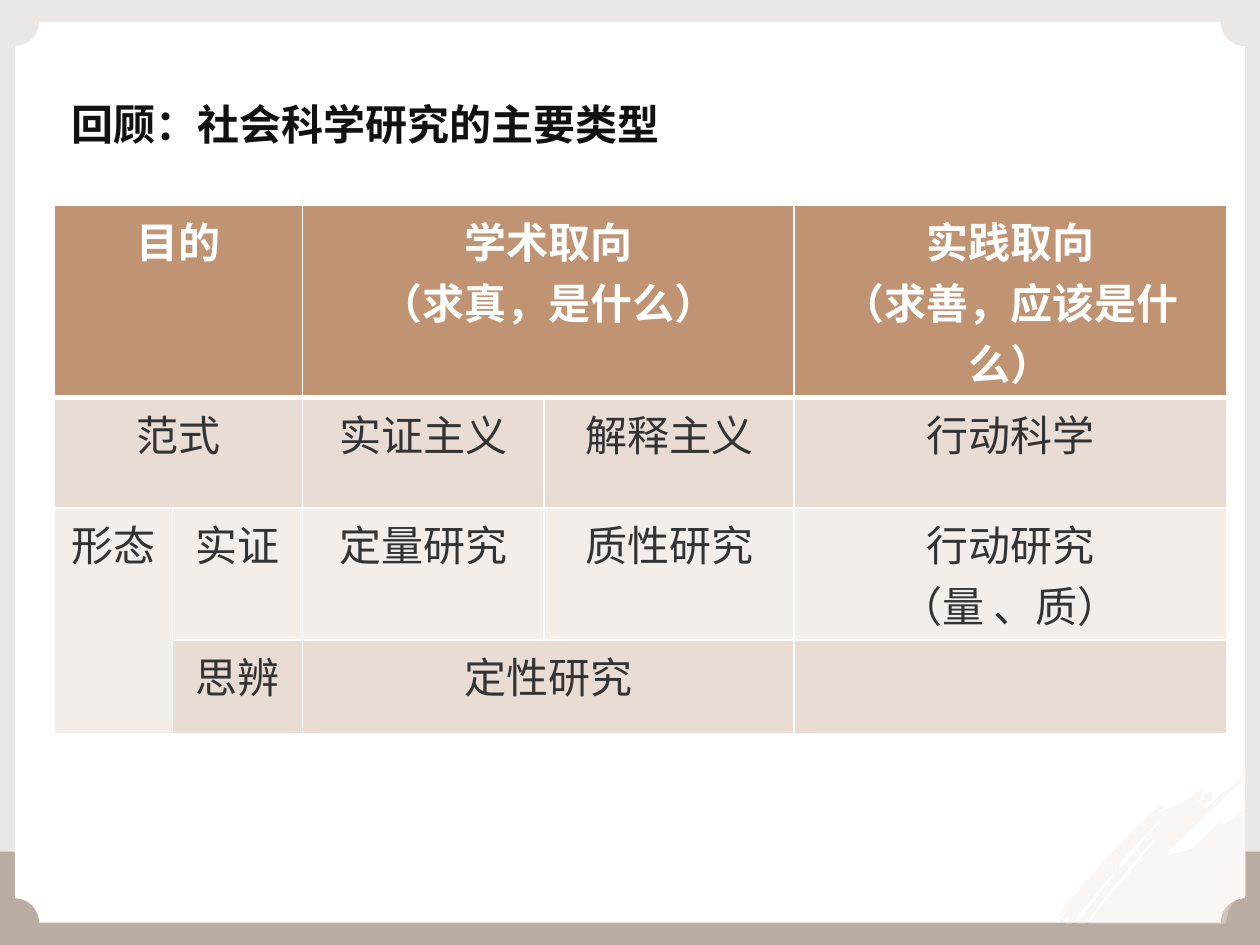
import pptx
import pptx.util
import pptx.dml.color
import pptx.enum.shapes
import pptx.enum.text
import pptx.oxml
import pptx.oxml.ns

Cm = pptx.util.Cm
Pt = pptx.util.Pt
RGB = pptx.dml.color.RGBColor
KIND = pptx.enum.shapes.MSO_SHAPE
ALIGN = pptx.enum.text.PP_ALIGN

SAND = RGB(0xEB, 0xE7, 0xE4)
TAUPE = RGB(0xBA, 0xAC, 0xA2)
WHITE = RGB(0xFF, 0xFF, 0xFF)
BRUSH = RGB(0xF2, 0xE9, 0xE3)
BROWN = RGB(0xC0, 0x93, 0x72)
ROSE = RGB(0xE8, 0xDC, 0xD5)
CREAM = RGB(0xF4, 0xEE, 0xEB)
INK = RGB(0x11, 0x11, 0x11)
GREY = RGB(0x33, 0x33, 0x33)
HAN = "Noto Sans CJK SC"
NS = 'xmlns:a="http://schemas.openxmlformats.org/drawingml/2006/main"'


def paint(shape, color):
    shape.shadow.inherit = False
    shape.fill.solid()
    shape.fill.fore_color.rgb = color
    shape.line.fill.background()


def write(para, text, face, color, bold):
    run = para.add_run()
    run.text = text
    font = run.font
    font.size, font.name, font.bold = Pt(24), face, bold
    font.color.rgb = color
    run._r.get_or_add_rPr().append(
        pptx.oxml.parse_xml(f'<a:ea {NS} typeface="{HAN}"/>'))


deck = pptx.Presentation()
deck.slide_width, deck.slide_height = Cm(25.4), Cm(19.05)
slide = deck.slides.add_slide(deck.slide_layouts[5])
shapes = slide.shapes

# Frame: two bands and a white plaque
for kind, color, left, top, width, height in [
    (KIND.RECTANGLE, SAND, 0, 0, 25.4, 19.05),
    (KIND.RECTANGLE, TAUPE, 0, 17.17, 25.4, 1.88),
    (KIND.PLAQUE, WHITE, 0.3, 0.44, 24.8, 18.16),
]:
    shape = shapes.add_shape(kind, Cm(left), Cm(top), Cm(width), Cm(height))
    paint(shape, color)
shape.adjustments[0] = 0.027

# Brush stroke in the corner: outline first, then the gaps in it
strokes = [
    [(989, 613), (989, 618), (979, 626), (968, 637), (956, 648), (949, 655),
     (928, 675), (927, 679), (934, 677), (943, 675), (948, 672), (958, 662),
     (967, 653), (968, 652), (971, 655), (975, 652), (982, 647), (989, 642),
     (989, 711), (981, 714), (975, 722), (973, 733), (864, 733), (872, 721),
     (892, 698), (919, 664), (906, 677), (881, 707), (862, 733), (855, 733),
     (864, 721), (886, 692), (879, 698), (865, 715), (851, 733), (846, 733),
     (849, 728), (840, 733), (848, 720), (838, 731), (851, 712), (873, 687),
     (893, 666), (911, 648), (920, 640), (925, 639), (920, 645), (933, 639),
     (945, 633), (950, 628), (954, 628), (953, 633), (949, 638), (954, 635),
     (957, 630), (962, 629), (962, 635), (957, 637), (955, 642), (960, 640),
     (970, 629), (981, 622)],
    [(923, 649), (913, 658), (902, 671), (894, 679), (888, 686), (888, 690),
     (894, 684), (904, 671), (913, 661)],
]
pen = None
for stroke in strokes:
    if pen is None:
        pen = shapes.build_freeform(*stroke[0], scale=Cm(0.0254))
    else:
        pen.move_to(*stroke[0])
    pen.add_line_segments(stroke[1:], close=True)
brush = pen.convert_to_shape()
paint(brush, BRUSH)
tint = brush._element.spPr.find(".//" + pptx.oxml.ns.qn("a:srgbClr"))
tint.append(pptx.oxml.parse_xml(f'<a:alpha {NS} val="40000"/>'))

# Table of research types
cols = [2.38, 2.62, 4.87, 5.04, 8.71]
rows = [3.3, 2.23, 2.23, 1.88]
fills = [BROWN, ROSE, CREAM, ROSE]
words = {
    (0, 0): ["目的"],
    (0, 2): ["学术取向", "（求真，是什么）"],
    (0, 4): ["实践取向", "（求善，应该是什么）"],
    (1, 0): ["范式"],
    (1, 2): ["实证主义"],
    (1, 3): ["解释主义"],
    (1, 4): ["行动科学"],
    (2, 0): ["形态"],
    (2, 1): ["实证"],
    (2, 2): ["定量研究"],
    (2, 3): ["质性研究"],
    (2, 4): ["行动研究", "（量 、质）"],
    (3, 1): ["思辨"],
    (3, 2): ["定性研究"],
}
table = shapes.add_table(len(rows), len(cols), Cm(1.1), Cm(4.13),
                         Cm(sum(cols)), Cm(sum(rows))).table
for col, width in zip(table.columns, cols):
    col.width = Cm(width)
for row, height in zip(table.rows, rows):
    row.height = Cm(height)

for r, fill in enumerate(fills):
    for c in range(len(cols)):
        cell = table.cell(r, c)
        cell.margin_left = cell.margin_right = Cm(0.18)
        cell.margin_top = cell.margin_bottom = Cm(0.1)
        props = cell._tc.get_or_add_tcPr()
        for side in "LRTB":
            thick = (r, side) in [(0, "B"), (1, "T")]
            props.append(pptx.oxml.parse_xml(
                f'<a:ln{side} {NS} w="{Pt(3 if thick else 1)}"><a:solidFill>'
                f'<a:srgbClr val="{WHITE}"/></a:solidFill></a:ln{side}>'))
        cell.fill.solid()
        cell.fill.fore_color.rgb = fill
        frame = cell.text_frame
        for i, line in enumerate(words.get((r, c), [])):
            para = frame.add_paragraph() if i else frame.paragraphs[0]
            para.alignment = ALIGN.CENTER
            write(para, line, "Arial", GREY if r else WHITE, r == 0)

for start, end in [((0, 0), (0, 1)), ((0, 2), (0, 3)), ((1, 0), (1, 1)),
                   ((2, 0), (3, 0)), ((3, 2), (3, 3))]:
    table.cell(*start).merge(table.cell(*end))

# Title, brought in front of the frame
title = shapes.title
title.left, title.top = Cm(1.45), Cm(1)
title.width, title.height = Cm(22.5), Cm(2)
frame = title.text_frame
frame.auto_size = pptx.enum.text.MSO_AUTO_SIZE.NONE
frame.word_wrap = True
frame.vertical_anchor = pptx.enum.text.MSO_ANCHOR.BOTTOM
frame.margin_left = frame.margin_right = 0
frame.margin_top = frame.margin_bottom = 0
para = frame.paragraphs[0]
para.alignment = ALIGN.LEFT
write(para, "回顾：社会科学研究的主要类型", HAN, INK, True)
shapes._spTree.append(title._element)

deck.save("out.pptx")
